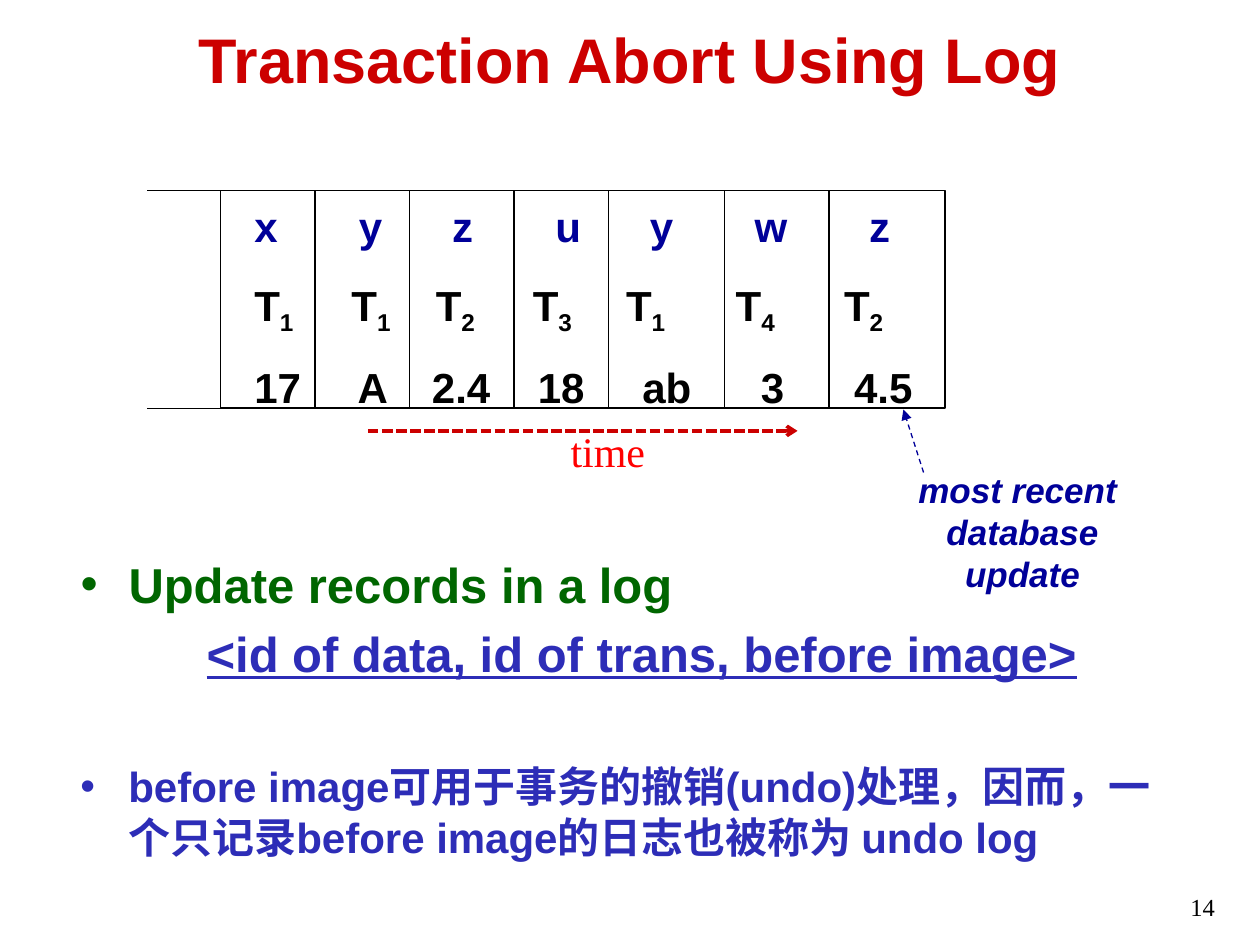
from dataclasses import dataclass
from typing import Optional

from lxml import etree
from pptx import Presentation
from pptx import util as u
from pptx.dml.color import RGBColor
from pptx.enum import dml, shapes, text
from pptx.oxml.ns import qn

NAVY, BLUE, GREEN, RED, BLACK = "000099", "2D2DB7", "006600", "CC0000", "000000"
LOG_TOP, LOG_BOTTOM = 1.51, 3.24
LOG_LEFT, LOG_RIGHT = 1.75, 7.5
COLUMN_EDGES = [2.5, 3.25, 4.08, 4.83, 5.75, 6.58]


@dataclass
class Style:
    size: float
    color: str
    font: str = "Arial"
    bold: bool = True
    italic: bool = False
    underline: bool = False


@dataclass
class LogRow:
    entries: list[str]
    stops: list[float]  # tab positions in inches from the text edge
    color: str = BLACK
    prefix: str = ""  # when set, the entries become its subscripts


@dataclass
class Line:
    start: tuple[float, float]
    end: tuple[float, float]
    color: str = BLACK
    width: float = 0.75
    dash: Optional[dml.MSO_LINE] = None
    head: str = ""


def rgb(color: str) -> RGBColor:
    return RGBColor.from_string(color)


def add_run(paragraph, words: str, style: Style):
    run = paragraph.add_run()
    run.text = words
    font = run.font
    font.name, font.size = style.font, u.Pt(style.size)
    font.bold, font.italic, font.underline = style.bold, style.italic, style.underline
    font.color.rgb = rgb(style.color)
    return run


def place(shape, left: float, top: float, width: float, height: float) -> None:
    shape.left, shape.top = u.Inches(left), u.Inches(top)
    shape.width, shape.height = u.Inches(width), u.Inches(height)


def add_text_box(slide, box: tuple, lines: list[str], style: Style,
                 align=text.PP_ALIGN.LEFT, wrap: bool = True):
    shape = slide.shapes.add_textbox(*map(u.Inches, box))
    frame = shape.text_frame
    frame.word_wrap = wrap
    for index, words in enumerate(lines):
        paragraph = frame.add_paragraph() if index else frame.paragraphs[0]
        paragraph.alignment = align
        add_run(paragraph, words, style)
    return shape


def set_indent(paragraph, margin: float, indent: float, bullet: str = "") -> None:
    properties = paragraph._p.get_or_add_pPr()
    properties.set("marL", str(u.Inches(margin)))
    properties.set("indent", str(u.Inches(indent)))
    if bullet:
        etree.SubElement(properties, qn("a:buFont"), typeface="Arial")
        etree.SubElement(properties, qn("a:buChar"), char=bullet)
    else:
        etree.SubElement(properties, qn("a:buNone"))


def add_line(slide, line: Line) -> None:
    connector = slide.shapes.add_connector(
        shapes.MSO_CONNECTOR.STRAIGHT, *map(u.Inches, line.start + line.end))
    connector.line.color.rgb = rgb(line.color)
    connector.line.width = u.Pt(line.width)
    if line.dash:
        connector.line.dash_style = line.dash
    if line.head:
        etree.SubElement(connector.line._get_or_add_ln(), qn("a:tailEnd"), type=line.head)
    etree.SubElement(connector._element.spPr, qn("a:effectLst"))


def add_log_row(paragraph, row: LogRow) -> None:
    paragraph.line_spacing = 1.5
    tabs = etree.SubElement(paragraph._p.get_or_add_pPr(), qn("a:tabLst"))
    for stop in row.stops:
        etree.SubElement(tabs, qn("a:tab"), pos=str(u.Inches(stop)), algn="l")
    style = Style(24, row.color)
    for index, entry in enumerate(row.entries):
        gap = "\t" if index else ""
        if row.prefix:
            add_run(paragraph, gap + row.prefix, style)
            subscript = add_run(paragraph, entry, style)
            subscript.font._element.set("baseline", "-25000")
        else:
            add_run(paragraph, gap + entry, style)


def add_log(slide) -> None:
    rows = [
        LogRow(list("xyzuywz"), [0.83, 1.57, 2.39, 3.14, 3.97, 4.88], NAVY),
        LogRow(list("1123142"), [0.77, 1.44, 2.21, 2.95, 3.82, 4.68], prefix="T"),
        LogRow(["17", "A", "2.4", "18", "ab", "3", "4.5"],
               [0.82, 1.41, 2.25, 3.08, 4.02, 4.76]),
    ]
    entries = slide.shapes.add_textbox(*map(u.Inches, (1.92, 1.34, 5.61, 1.92)))
    frame = entries.text_frame
    frame.word_wrap = True
    for index, row in enumerate(rows):
        add_log_row(frame.add_paragraph() if index else frame.paragraphs[0], row)

    # Frame, column rules and the open left end
    outline = slide.shapes.add_shape(
        shapes.MSO_SHAPE.RECTANGLE, u.Inches(LOG_LEFT), u.Inches(LOG_TOP),
        u.Inches(LOG_RIGHT - LOG_LEFT), u.Inches(LOG_BOTTOM - LOG_TOP))
    outline.shadow.inherit = False
    outline.fill.background()
    outline.line.color.rgb = rgb(BLACK)
    outline.line.width = u.Pt(0.75)
    for x in COLUMN_EDGES:
        add_line(slide, Line((x, LOG_TOP), (x, LOG_BOTTOM)))
    for y in (LOG_TOP, LOG_BOTTOM):
        add_line(slide, Line((1.8, y), (1.17, y)))


def main() -> None:
    presentation = Presentation()
    presentation.slide_width, presentation.slide_height = u.Inches(10), u.Inches(7.5)
    slide = presentation.slides.add_slide(presentation.slide_layouts[1])

    # Title
    title = slide.shapes.title
    place(title, 0.75, 0.17, 8.5, 0.59)
    title.text_frame.auto_size = text.MSO_AUTO_SIZE.NONE
    add_run(title.text_frame.paragraphs[0], "Transaction Abort Using Log", Style(36, RED))

    # Log
    add_log(slide)

    # Time axis and latest update
    add_line(slide, Line((2.92, 3.42), (6.33, 3.42), RED, 2, dml.MSO_LINE.SQUARE_DOT, "arrow"))
    add_text_box(slide, (4.43, 3.33, 0.8, 0.51), ["time"],
                 Style(24, "FF0000", "Times New Roman", bold=False), wrap=False)
    add_line(slide, Line((7.33, 3.75), (7.17, 3.25), NAVY, 0.75, dml.MSO_LINE.DASH, "triangle"))
    add_text_box(slide, (6.92, 3.67, 2.39, 0.77), ["most recent ", "database update"],
                 Style(20, NAVY, italic=True), text.PP_ALIGN.CENTER, wrap=False)

    # Record format
    body = slide.placeholders[1]
    place(body, 0.54, 4.35, 8.77, 1.14)
    frame = body.text_frame
    frame.auto_size = text.MSO_AUTO_SIZE.NONE
    heading = frame.paragraphs[0]
    set_indent(heading, 0.38, -0.38, "•")
    add_run(heading, "Update records in a log", Style(28, GREEN))
    record = frame.add_paragraph()
    record.level = 1
    set_indent(record, 1, 0)
    add_run(record, "<id of data, id of trans, before image>", Style(28, BLUE, underline=True))

    # Undo log remark
    remark = add_text_box(
        slide, (0.54, 5.99, 8.77, 0.91),
        ["before image可用于事务的撤销(undo)处理，因而，一个只记录before image的日志也被称为 undo log"],
        Style(24, BLUE))
    paragraph = remark.text_frame.paragraphs[0]
    paragraph.space_before = u.Pt(4.8)
    set_indent(paragraph, 0.38, -0.38, "•")

    # Page number
    add_text_box(slide, (8.68, 7.03, 1.06, 0.34), ["14"],
                 Style(14, BLACK, "Times New Roman", bold=False), text.PP_ALIGN.RIGHT)

    presentation.save("out.pptx")


if __name__ == "__main__":
    main()
